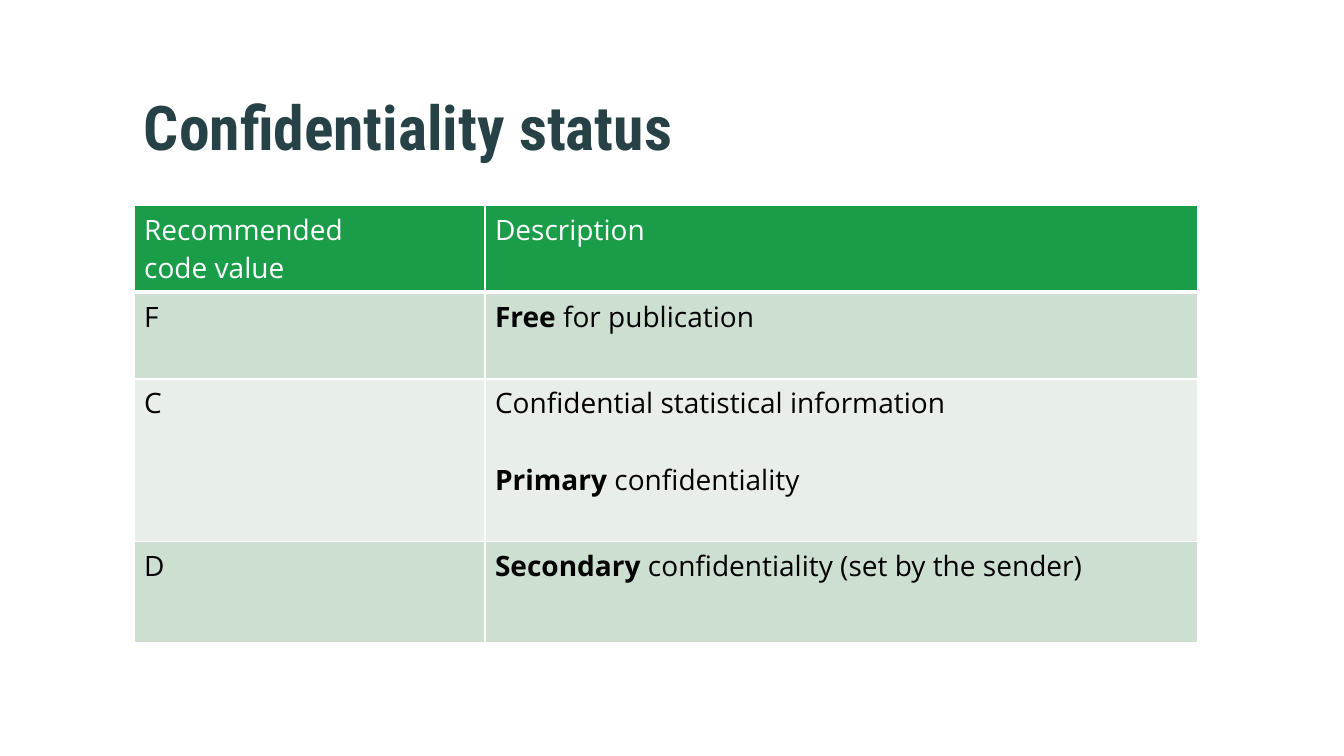
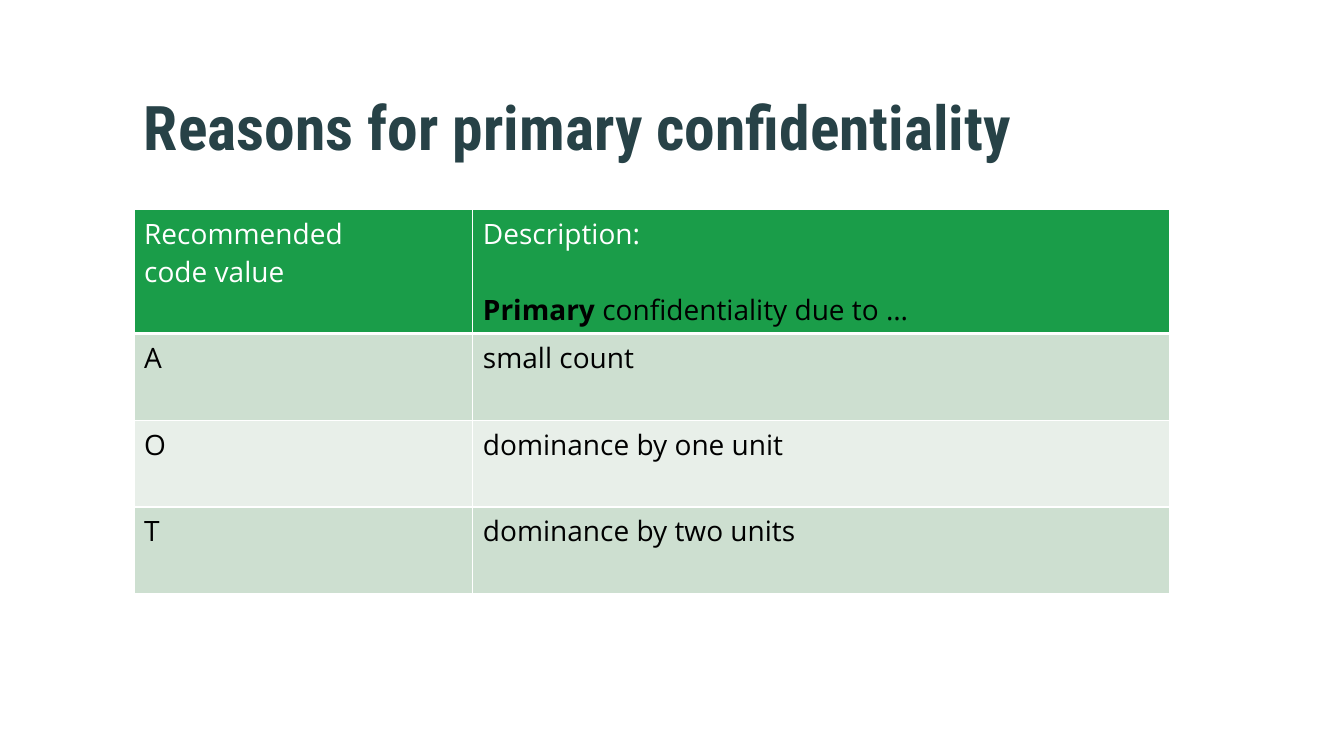
import pptx
import pptx.util
import pptx.dml.color
import pptx.enum.text
import pptx.oxml.ns
from lxml import etree

Inches, Pt = pptx.util.Inches, pptx.util.Pt


class Deck:
    COLORS = {"title": "274247", "header": "1A9D49", "odd": "CDDFD0",
              "even": "E8EFE9", "white": "FFFFFF", "black": "000000"}
    TITLE_FONT, BODY_FONT = "Roboto Condensed", "Open Sans"
    LEFT = 1.33
    BLOCK_GAP = 27.3  # one line of body text, in points

    def __init__(self):
        self.prs = pptx.Presentation()
        self.prs.slide_width, self.prs.slide_height = Inches(13.33), Inches(7.5)

    def color(self, name):
        return pptx.dml.color.RGBColor.from_string(self.COLORS[name])

    def style(self, r, font, size, color, bold=False):
        r.font.name, r.font.size, r.font.bold = font, Pt(size), bold
        r.font.color.rgb = self.color(color)

    def slide(self, title):
        self.s = self.prs.slides.add_slide(self.prs.slide_layouts[6])
        sp = self.s.shapes.add_textbox(Inches(self.LEFT), Inches(0.6),
                                       Inches(10.56), Inches(1.43))
        tf = sp.text_frame
        tf.word_wrap = True
        tf.vertical_anchor = pptx.enum.text.MSO_ANCHOR.MIDDLE
        tf.margin_top = 0
        tf.text = title
        p = tf.paragraphs[0]
        p.line_spacing = 0.9
        self.style(p.runs[0], self.TITLE_FONT, 44, "title", True)

    def table(self, top, cols, heights, rows):
        """Draw a table whose first row is the header."""
        tbl = self.s.shapes.add_table(
            len(rows), len(cols), Inches(self.LEFT), Inches(top),
            Inches(sum(cols)), Inches(sum(heights))).table
        for column, width in zip(tbl.columns, cols):
            column.width = Inches(width)
        for i, (row, height) in enumerate(zip(rows, heights)):
            tbl.rows[i].height = Inches(height)
            fill = "header" if i == 0 else "odd" if i % 2 else "even"
            for j, text in enumerate(row):
                cell = tbl.cell(i, j)
                self.borders(cell, top=3 if i == 1 else 1, bottom=3 if i == 0 else 1)
                cell.fill.solid()
                cell.fill.fore_color.rgb = self.color(fill)
                self.cell_text(cell.text_frame, text, header=i == 0)

    def borders(self, cell, top, bottom):
        qn = pptx.oxml.ns.qn
        tc_pr = cell._tc.get_or_add_tcPr()
        for side, width in (("L", 1), ("R", 1), ("T", top), ("B", bottom)):
            ln = etree.SubElement(tc_pr, qn("a:ln" + side), w=str(Pt(width)))
            fill = etree.SubElement(ln, qn("a:solidFill"))
            etree.SubElement(fill, qn("a:srgbClr"), val=self.COLORS["white"])

    def cell_text(self, tf, text, header):
        """Blank lines part blocks, line ends part paragraphs, stars mark bold."""
        p = tf.paragraphs[0]
        for b, block in enumerate(text.split("\n\n")):
            color = "white" if header and b == 0 else "black"
            for n, line in enumerate(block.split("\n")):
                if b or n:
                    p = tf.add_paragraph()
                if b and n == 0:
                    p.space_before = Pt(self.BLOCK_GAP)
                for k, part in enumerate(line.split("*")):
                    if part:
                        r = p.add_run()
                        r.text = part
                        self.style(r, self.BODY_FONT, 20, color, k % 2 == 1)


def main():
    deck = Deck()
    code_header = "Recommended\ncode value"

    # Confidentiality status
    deck.slide("Confidentiality status")
    deck.table(2.04, [3.48, 7.07], [0.86, 0.86, 1.61, 1.01], [
        (code_header, "Description"),
        ("F", "*Free* for publication"),
        ("C", "Confidential statistical information\n\n*Primary* confidentiality"),
        ("D", "*Secondary* confidentiality (set by the sender)"),
    ])

    # Reasons for primary confidentiality
    deck.slide("Reasons for primary confidentiality")
    deck.table(2.08, [3.36, 6.91], [1.23] + [0.86] * 3, [
        (code_header, "Description:\n\n*Primary* confidentiality due to …"),
        ("A", "small count"),
        ("O", "dominance by one unit"),
        ("T", "dominance by two units"),
    ])

    deck.prs.save("out.pptx")


if __name__ == "__main__":
    main()
